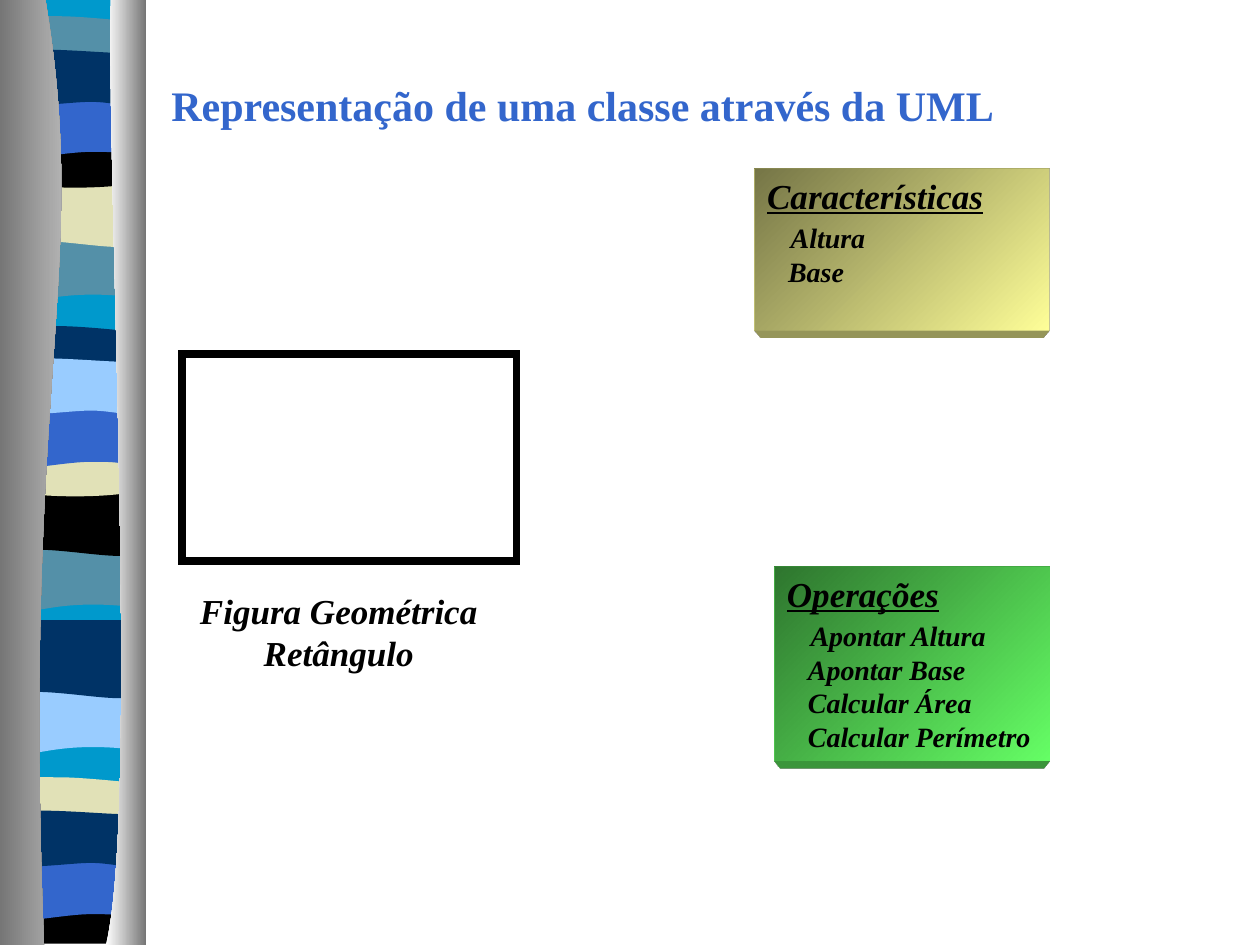
from dataclasses import dataclass

from lxml import etree
from pptx import Presentation
from pptx import util as u
from pptx.dml.color import RGBColor
from pptx.enum import shapes, text
from pptx.oxml import ns

COLORS = {
    "cyan": "0099CC", "teal": "5490A8", "sand": "E1E1B7", "black": "000000",
    "blue": "3366CC", "navy": "003366", "sky": "99CCFF", "gray": "767676",
    "silver": "D0D0D0", "white": "FFFFFF", "olive": "767647", "yellow": "FFFF99",
    "forest": "2F762F", "green": "66FF66",
}
FONT = {"name": "Times New Roman", "bold": True}
LEFT, RIGHT = 3.6, 81.8
WAVE_STRETCH = 1.25

OUTLINES = {
    "backdrop": [(RIGHT, 0), (RIGHT, 538), (LEFT, 538), (LEFT, 0)],
    "dip": [(RIGHT, 0), (RIGHT, 33.8), (28, 28, 17, 39.6, LEFT, 33.8), (LEFT, 0)],
    "swell": [(RIGHT, 0), (RIGHT, 34), (69, 39.6, 28, 29.5, LEFT, 34), (LEFT, 0)],
    "lens": [(RIGHT, 3.6), (RIGHT, 21), (69, 24.5, 17, 24.5, LEFT, 21), (LEFT, 3.6),
             (8.6, 0, 21, 0.7, 34, 0.7), (47, 0.7, 72, 2.9, RIGHT, 3.6)],
    "bowl": [(RIGHT, 0), (RIGHT, 23), (69, 27.4, 17, 27.4, LEFT, 23), (LEFT, 0),
             (52, 3.6, 65.5, 0, RIGHT, 0)],
    "base": [(RIGHT, 0), (RIGHT, 26.6), (LEFT, 26.6), (LEFT, 0), (52, 3.6, 65.5, 0, RIGHT, 0)],
    "arch": [(RIGHT, 0), (RIGHT, 33.8), (70, 30.2, 65, 30.2, 52, 30.2),
             (39, 30.2, 16, 33.8, LEFT, 33.8), (LEFT, 0)],
    "ripple": [(RIGHT, 3.6), (RIGHT, 25.9), (77, 29.5, 65, 25.9, 52, 25.9),
               (39, 25.9, 12, 29.5, LEFT, 25.9), (LEFT, 3.6),
               (15, 0, 57, 3.6, 70, 3.6), (82, 3.6, 79, 3.6, RIGHT, 3.6)],
    "left_curtain": [(26, 0), (52, 155.5, 12.2, 213, 25.2, 540), (0, 540), (0, 0)],
    "right_curtain": [(63.4, 0), (60.5, 90, 80, 465, 60.5, 540), (83.5, 540), (83.5, 0)],
}
UNSTRETCHED = {"backdrop", "base"}


@dataclass
class Band:
    outline: str
    top: float
    color: str


@dataclass
class Panel:
    left: float
    top: float
    width: float
    height: float
    colors: tuple[str, str]
    heading: str
    items: list[str]


BANDS = [
    Band("backdrop", 0, "cyan"),
    Band("dip", 133.2, "teal"), Band("swell", 101.5, "sand"), Band("lens", 11.5, "teal"),
    Band("bowl", 77.8, "black"), Band("arch", 53.3, "blue"), Band("ripple", 29.5, "navy"),
    Band("dip", 310.3, "teal"), Band("swell", 278, "black"), Band("lens", 188.6, "navy"),
    Band("bowl", 254.2, "sand"), Band("arch", 230.4, "blue"), Band("ripple", 205.9, "sky"),
    Band("dip", 391.7, "sky"), Band("swell", 359.3, "navy"), Band("lens", 446.4, "sand"),
    Band("base", 512.6, "black"), Band("arch", 488.9, "blue"), Band("ripple", 464.4, "navy"),
]
PANELS = [
    Panel(431.3, 96.2, 168.5, 92.4, ("olive", "yellow"),
          "Características", ["Altura", "Base"]),
    Panel(442.6, 323.6, 157.3, 111, ("forest", "green"), "Operações",
          ["Apontar Altura", "Apontar Base", "Calcular Área", "Calcular Perímetro"]),
]


def rgb(name: str) -> RGBColor:
    return RGBColor.from_string(COLORS[name])


def add_element(parent, tag: str, **attributes: str):
    return etree.SubElement(parent, ns.qn(tag), attributes)


def paint(shape, colors: tuple[str, ...], angle: float = 0) -> None:
    shape.shadow.inherit = False
    shape.line.fill.background()
    if len(colors) == 1:
        shape.fill.solid()
        shape.fill.fore_color.rgb = rgb(colors[0])
        return
    shape.fill.gradient()
    shape.fill.gradient_angle = angle
    for stop, position, color in zip(shape.fill.gradient_stops, (0, 1), colors):
        stop.position = position
        stop.color.rgb = rgb(color)


def draw_outline(slide, outline: list[tuple], top: float, colors: tuple[str, ...],
                 stretch: float = 1) -> None:
    points = [pair for segment in outline for pair in zip(segment[::2], segment[1::2])]
    heights = [y for _, y in points]
    middle = (min(heights) + max(heights)) / 2
    placed = [(u.Pt(x), u.Pt(top + middle + (y - middle) * stretch)) for x, y in points]
    builder = slide.shapes.build_freeform(*placed[0], scale=1.0)
    builder.add_line_segments(placed[1:], close=True)
    shape = builder.convert_to_shape()
    lines = iter(list(shape._element.iter(ns.qn("a:lnTo"))))
    for segment in outline[1:]:
        line = next(lines)
        if len(segment) == 6:
            line.tag = ns.qn("a:cubicBezTo")
            for _ in range(2):
                control = next(lines)
                line.append(control[0])
                control.getparent().remove(control)
    paint(shape, colors)


def write(paragraph, content: str, color: str, **formats) -> None:
    run = paragraph.add_run()
    run.text = content
    for attribute, value in {**FONT, **formats}.items():
        setattr(run.font, attribute, value)
    run.font.color.rgb = rgb(color)


def extrude(shape, color: str) -> None:
    properties = shape._element.spPr
    scene = add_element(properties, "a:scene3d")
    add_element(scene, "a:camera", prst="legacyPerspectiveBottom")
    add_element(scene, "a:lightRig", rig="legacyFlat3", dir="t")
    solid = add_element(properties, "a:sp3d", extrusionH=str(u.Pt(34)),
                        prstMaterial="legacyMatte")
    extrusion = add_element(solid, "a:extrusionClr")
    add_element(extrusion, "a:srgbClr", val=COLORS[color])


def draw_panel(slide, panel: Panel) -> None:
    box = slide.shapes.add_shape(
        shapes.MSO_SHAPE.RECTANGLE,
        *map(u.Pt, (panel.left, panel.top, panel.width, panel.height)))
    paint(box, panel.colors, 315)
    extrude(box, panel.colors[1])
    frame = box.text_frame
    frame.word_wrap = True
    frame.vertical_anchor = text.MSO_ANCHOR.TOP
    heading = frame.paragraphs[0]
    heading.alignment = text.PP_ALIGN.LEFT
    write(heading, panel.heading, "black", size=u.Pt(20), italic=True, underline=True)
    for index, item in enumerate(panel.items):
        paragraph = frame.add_paragraph()
        paragraph.alignment = text.PP_ALIGN.LEFT
        indent = 13.5 if index == 0 else 12
        paragraph._p.get_or_add_pPr().set("marL", str(u.Pt(indent)))
        paragraph.space_before = u.Pt(2.4 if index == 0 else 0)
        write(paragraph, item, "black", size=u.Pt(16), italic=True)


def draw_label(slide, bounds: tuple, content: str, color: str, wrap: bool,
               spacing: float, **formats) -> None:
    frame = slide.shapes.add_textbox(*map(u.Pt, bounds)).text_frame
    frame.word_wrap = wrap
    paragraph = frame.paragraphs[0]
    paragraph.alignment = text.PP_ALIGN.CENTER
    paragraph.line_spacing = spacing
    write(paragraph, content, color, **formats)


def main() -> None:
    presentation = Presentation()
    presentation.slide_width, presentation.slide_height = u.Pt(720), u.Pt(540)
    slide = presentation.slides.add_slide(presentation.slide_layouts[6])

    for band in BANDS:
        stretch = 1 if band.outline in UNSTRETCHED else WAVE_STRETCH
        draw_outline(slide, OUTLINES[band.outline], band.top, (band.color,), stretch)
    draw_outline(slide, OUTLINES["left_curtain"], 0, ("gray", "silver"))
    draw_outline(slide, OUTLINES["right_curtain"], 0, ("white", "gray"))

    draw_label(slide, (85, 47.5, 496, 31), "Representação de uma classe através da UML",
               "blue", False, 0.8, size=u.Pt(24))
    for panel in PANELS:
        draw_panel(slide, panel)

    rectangle = slide.shapes.add_shape(
        shapes.MSO_SHAPE.RECTANGLE, *map(u.Pt, (103.9, 202.2, 191.3, 118.6)))
    rectangle.shadow.inherit = False
    rectangle.fill.background()
    rectangle.line.color.rgb = rgb("black")
    rectangle.line.width = u.Pt(4.5)
    add_element(rectangle.line._get_or_add_ln(), "a:miter", lim="800000")
    draw_label(slide, (92.4, 333.4, 202.3, 55.4), "Figura Geométrica Retângulo",
               "black", True, 1.0, size=u.Pt(20), italic=True)
    presentation.save("out.pptx")


if __name__ == "__main__":
    main()
